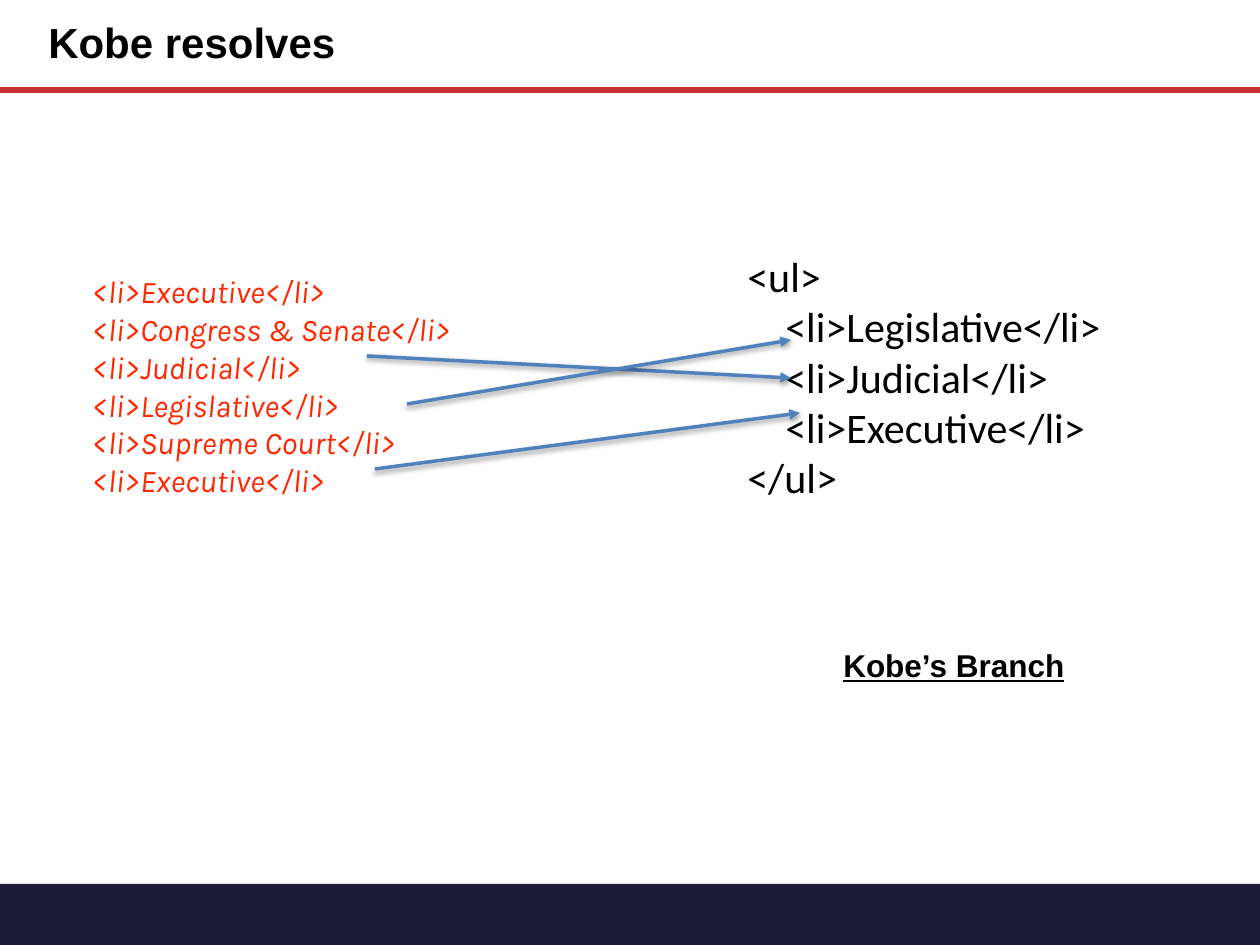
"""Build the slide that matches two HTML lists with arrows."""
from pptx import Presentation
from pptx.dml.color import RGBColor
from pptx.enum.shapes import MSO_CONNECTOR as CONNECTOR, MSO_SHAPE as SHAPE
from pptx.enum.text import MSO_ANCHOR as ANCHOR, MSO_AUTO_SIZE as AUTO_SIZE
from pptx.oxml import parse_xml
from pptx.oxml.ns import nsdecls
from pptx.util import Emu, Pt

EMU_PER_PX = 914400 / 126
RED, BLUE, NAVY, BLACK, ORANGE = "C83232", "4F81BD", "1D1A36", "000000", "FF2600"
SHADOW = (
    '<a:outerShdw blurRad="38100" dist="20320" dir="5400000" rotWithShape="0">'
    '<a:srgbClr val="000000"><a:alpha val="38000"/></a:srgbClr></a:outerShdw>'
)
SOURCE_LIST = [
    "    <li>Executive</li>",
    "    <li>Congress & Senate</li>",
    "    <li>Judicial</li>",
    "    <li>Legislative</li>",
    "    <li>Supreme Court</li>",
    "    <li>Executive</li>",
]
RESOLVED_LIST = [
    "<ul>",
    "    <li>Legislative</li>",
    "    <li>Judicial</li>",
    "    <li>Executive</li>",
    "</ul>",
]
MATCHES = [
    (367, 356, 791, 378),
    (375, 469, 800, 413),
    (407, 404, 791, 340),
]


def px(*values):
    return [Emu(round(v * EMU_PER_PX)) for v in values]


def rgb(color):
    return RGBColor.from_string(color)


def add_bar(s, box, color):
    bar = s.shapes.add_shape(SHAPE.RECTANGLE, *px(*box))
    bar.shadow.inherit = False
    bar.fill.solid()
    bar.fill.fore_color.rgb = rgb(color)
    bar.line.fill.background()


def add_line(s, ends, color, width, effect=""):
    line = s.shapes.add_connector(CONNECTOR.STRAIGHT, *px(*ends))
    line.line.color.rgb = rgb(color)
    line.line.width = Pt(width)
    effects = f'<a:effectLst {nsdecls("a")}>{effect}</a:effectLst>'
    line._element.spPr.append(parse_xml(effects))
    return line


def add_arrow(s, ends):
    arrow = add_line(s, ends, BLUE, 2, SHADOW)
    head = parse_xml(f'<a:tailEnd {nsdecls("a")} type="triangle"/>')
    arrow.line._get_or_add_ln().append(head)


def add_text(s, box, lines, font, size, color=BLACK, wrap=True,
             anchor=ANCHOR.TOP, spacing=None, **style):
    tf = s.shapes.add_textbox(*px(*box)).text_frame
    tf.margin_left = tf.margin_right = tf.margin_top = tf.margin_bottom = Pt(3.6)
    tf.word_wrap = wrap
    tf.auto_size = AUTO_SIZE.NONE
    tf.vertical_anchor = anchor
    tf.text = "\n".join(lines)
    for p in tf.paragraphs:
        p.line_spacing = spacing
        p.font.name = font
        p.font.size = Pt(size)
        p.font.color.rgb = rgb(color)
        for name, value in style.items():
            setattr(p.font, name, value)


def main():
    prs = Presentation()
    prs.slide_width, prs.slide_height = px(1260, 945)
    s = prs.slides.add_slide(prs.slide_layouts[6])
    add_bar(s, (0, 884, 1261, 63), NAVY)
    add_line(s, (0, 90, 1260, 90), RED, 3.25)
    add_text(s, (42, 0, 753, 90), ["Kobe resolves"], "Arial", 24,
             anchor=ANCHOR.MIDDLE, spacing=0.9, bold=True)
    add_text(s, (741, 244, 425, 257), RESOLVED_LIST, "Calibri", 24, wrap=False)
    add_text(s, (59, 266, 527, 233), SOURCE_LIST, "Karla", 18, ORANGE, italic=True)
    for ends in MATCHES:
        add_arrow(s, ends)
    add_text(s, (837, 640, 236, 48), ["Kobe’s Branch"], "Arial", 18,
             wrap=False, bold=True, underline=True)
    prs.save("out.pptx")


if __name__ == "__main__":
    main()
